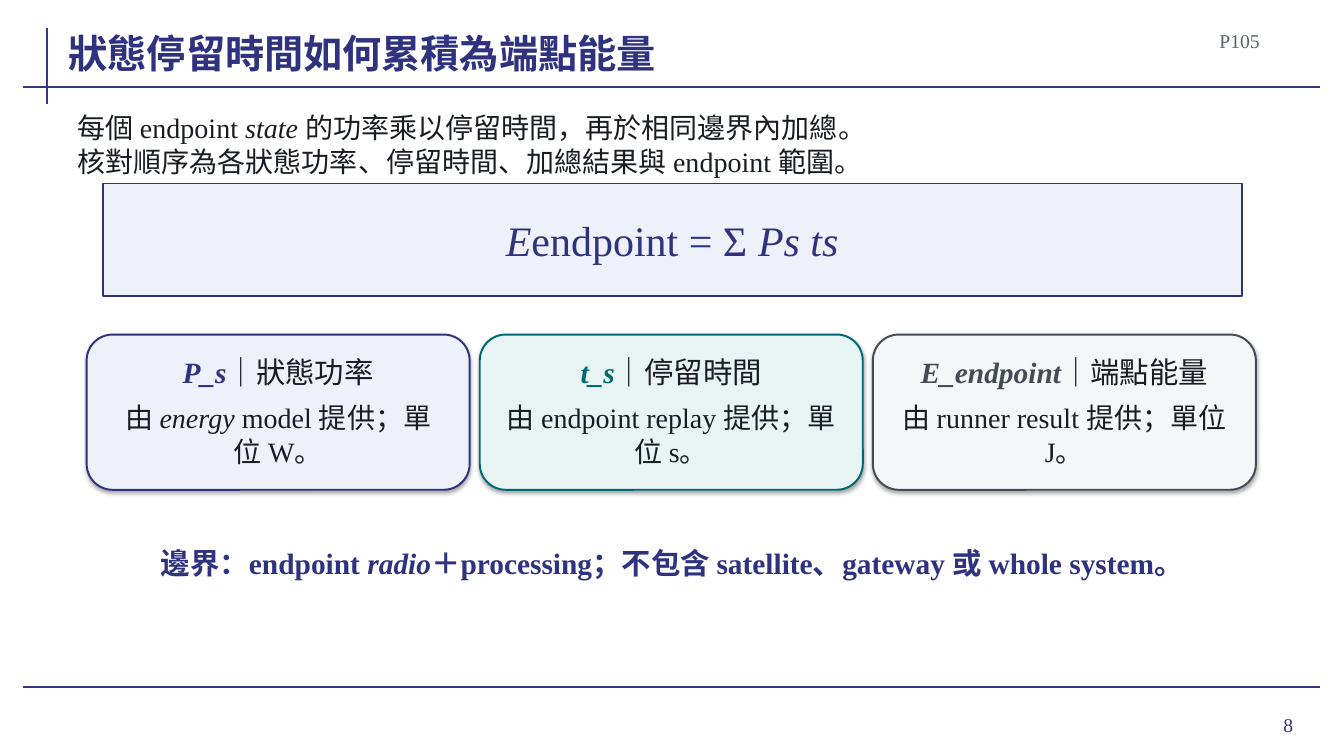
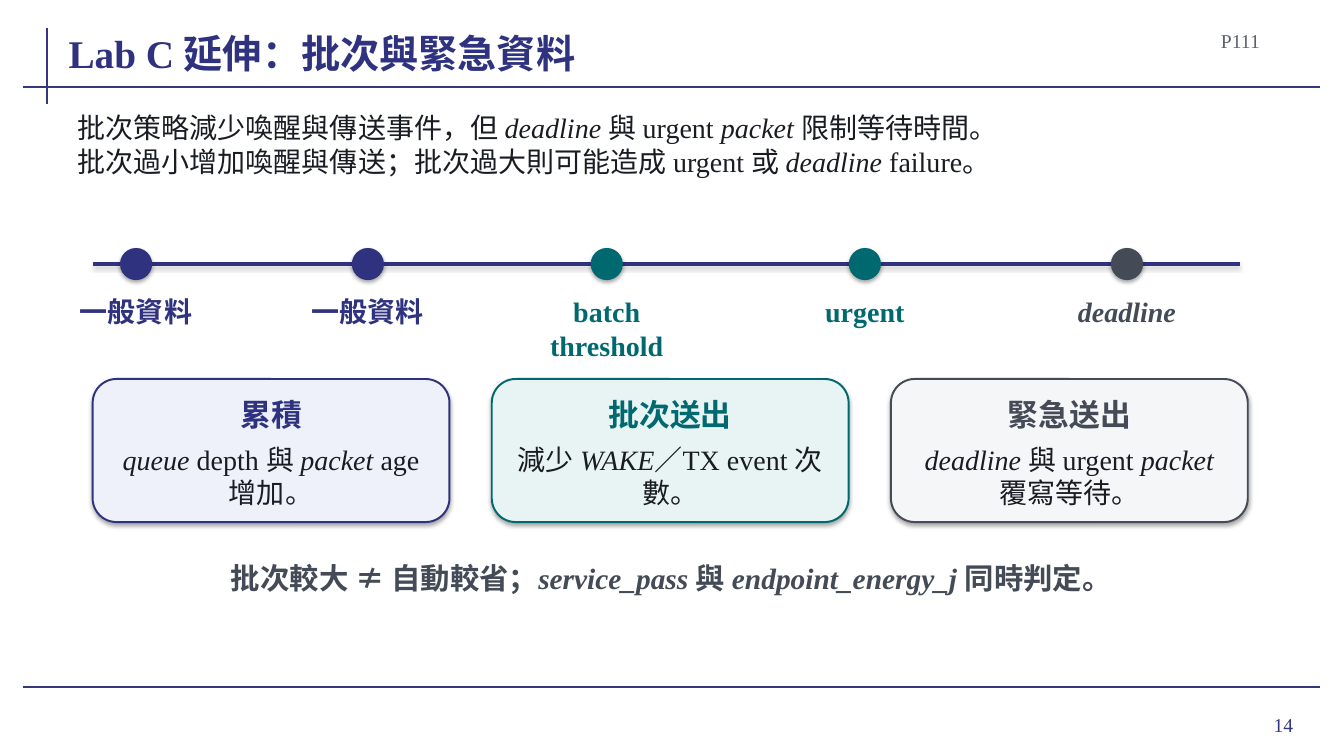
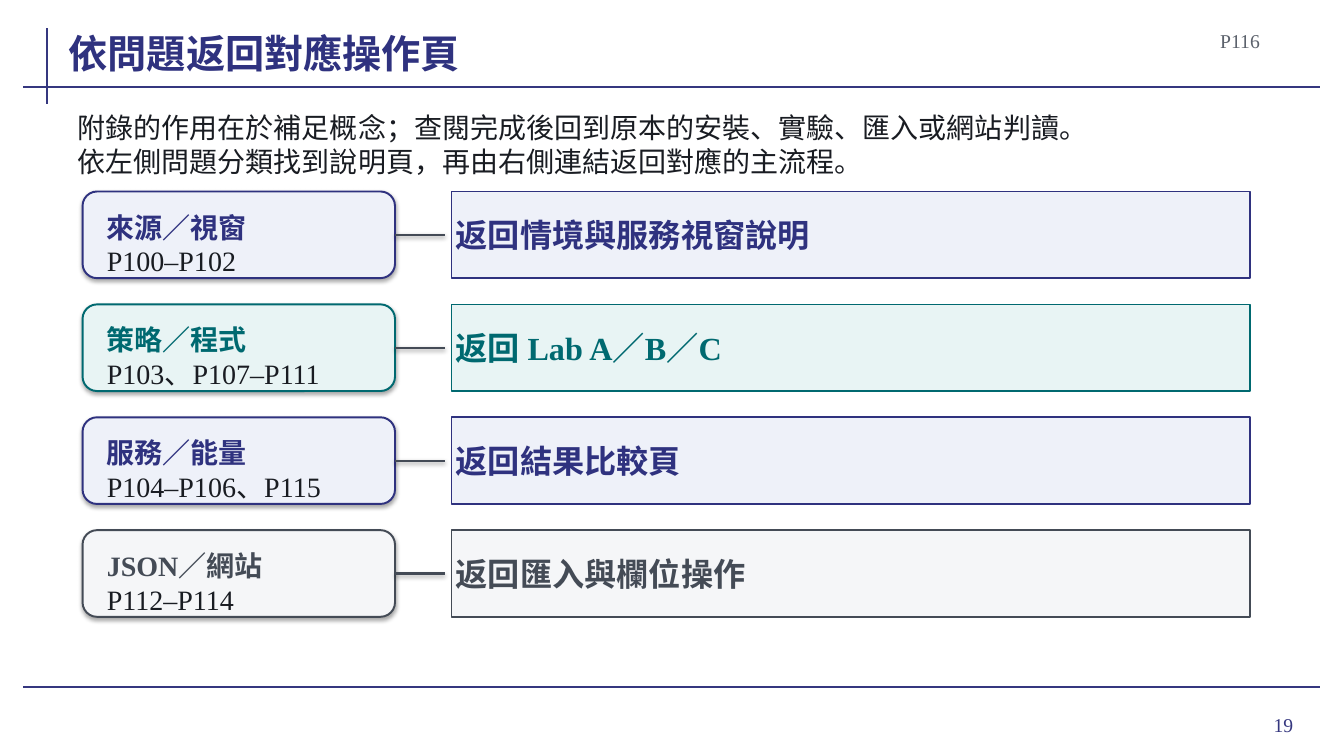
from lxml import etree
from pptx import Presentation
from pptx.dml.color import RGBColor
from pptx.enum.shapes import MSO_CONNECTOR, MSO_SHAPE
from pptx.enum.text import MSO_ANCHOR, MSO_AUTO_SIZE, PP_ALIGN
from pptx.oxml.ns import qn
from pptx.util import Pt

LEFT, MID, RIGHT = PP_ALIGN.LEFT, PP_ALIGN.CENTER, PP_ALIGN.RIGHT
TOP, CORE, BASE = MSO_ANCHOR.TOP, MSO_ANCHOR.MIDDLE, MSO_ANCHOR.BOTTOM
RECT, ROUND, OVAL = MSO_SHAPE.RECTANGLE, MSO_SHAPE.ROUNDED_RECTANGLE, MSO_SHAPE.OVAL
FIT, STRAIGHT = MSO_AUTO_SIZE.SHAPE_TO_FIT_TEXT, MSO_CONNECTOR.STRAIGHT

FONT = "Times New Roman"
COLORS = {
    "rule": "35377F", "ink": "191C22", "code": "5C626C", "black": "000000",
    "navy": "2F327F", "teal": "006970", "gray": "444B56",
}
TINTS = {"navy": "EEF1F9", "teal": "E8F4F4", "gray": "F5F6F8"}

# Content: asterisks enclose italic text
ENERGY = {
    "title": "狀態停留時間如何累積為端點能量", "code": "P105", "page": "8",
    "lead": "每個 endpoint *state* 的功率乘以停留時間，再於相同邊界內加總。\n"
            "核對順序為各狀態功率、停留時間、加總結果與 endpoint 範圍。",
    "sum": "*E*endpoint = Σ *Ps ts*",
    "cards": [
        ("navy", "*P_s*｜狀態功率", "由 *energy *model 提供；單位 W。"),
        ("teal", "*t_s*｜停留時間", "由 endpoint replay 提供；單位 s。"),
        ("gray", "*E_endpoint*｜端點能量", "由 runner result 提供；單位 J。"),
    ],
    "note": "邊界：endpoint *radio*＋processing；不包含 satellite、gateway 或 whole system。",
}
BATCH = {
    "title": "Lab C 延伸：批次與緊急資料", "code": "P111", "page": "14",
    "lead": "批次策略減少喚醒與傳送事件，但 *deadline* 與 urgent *packet* 限制等待時間。\n"
            "批次過小增加喚醒與傳送；批次過大則可能造成 urgent 或 *deadline *failure。",
    "steps": [
        (97.2, "navy", "一般資料"), (262.8, "navy", "一般資料"),
        (433.4, "teal", "batch threshold"), (617.8, "teal", "urgent"),
        (805, "gray", "*deadline*"),
    ],
    "cards": [
        ("navy", "累積", "*queue *depth 與 *packet *age 增加。"),
        ("teal", "批次送出", "減少 *WAKE*／TX event 次數。"),
        ("gray", "緊急送出", "*deadline* 與 urgent *packet* 覆寫等待。"),
    ],
    "note": "批次較大 ≠ 自動較省；*service_pass* 與 *endpoint_energy_j* 同時判定。",
}
GUIDE = {
    "title": "依問題返回對應操作頁", "code": "P116", "page": "19",
    "lead": "附錄的作用在於補足概念；查閱完成後回到原本的安裝、實驗、匯入或網站判讀。\n"
            "依左側問題分類找到說明頁，再由右側連結返回對應的主流程。",
    "rows": [
        ("navy", "來源／視窗", "P100–P102", "返回情境與服務視窗說明"),
        ("teal", "策略／程式", "P103、P107–P111", "返回 Lab A／B／C"),
        ("navy", "服務／能量", "P104–P106、P115", "返回結果比較頁"),
        ("gray", "JSON／網站", "P112–P114", "返回匯入與欄位操作"),
    ],
}


def rgb(name):
    return RGBColor.from_string(COLORS.get(name, name))


def shade(shape, alpha, dist):
    """Put a soft shadow straight below a shape or line."""
    props = shape._element.spPr
    fx = props.find(qn("a:effectLst"))
    if fx is None:
        fx = etree.SubElement(props, qn("a:effectLst"))
    drop = etree.SubElement(fx, qn("a:outerShdw"), blurRad=str(Pt(3.1)),
                            dist=str(Pt(dist)), dir="5400000", rotWithShape="0")
    tint = etree.SubElement(drop, qn("a:srgbClr"), val=COLORS["black"])
    etree.SubElement(tint, qn("a:alpha"), val=str(alpha * 1000))


def write(shape, text, size, color="ink", bold=False, align=LEFT, anchor=CORE,
          pad=2.9, fit=True, mark=None):
    """Fill a shape with text; mark is the colour of bold italic parts."""
    frame = shape.text_frame
    frame.word_wrap = True
    if fit:
        frame.auto_size = FIT
    frame.vertical_anchor = anchor
    frame.margin_left = frame.margin_right = Pt(pad)
    frame.margin_top = frame.margin_bottom = Pt(pad)
    para = frame.paragraphs[0]
    para.alignment = align
    font = para.font
    font.name, font.size, font.bold = FONT, Pt(size), bold
    font.color.rgb = rgb(color)
    for i, part in enumerate(text.split("*")):
        for j, line in enumerate(part.split("\n")):
            if j:
                para.add_line_break()
            if not line:
                continue
            run = para.add_run()
            run.text = line
            if i % 2:
                run.font.italic = True
                if mark:
                    run.font.bold = True
                    run.font.color.rgb = rgb(mark)


def label(slide, box, text, size, **style):
    write(slide.shapes.add_textbox(*map(Pt, box)), text, size, **style)


def rule(slide, x1, y1, x2, y2, color="rule", width=1.5, soft=False):
    line = slide.shapes.add_connector(STRAIGHT, *map(Pt, (x1, y1, x2, y2)))
    line.line.color.rgb = rgb(color)
    line.line.width = Pt(width)
    if soft:
        shade(line, 38, 1.6)
    else:
        etree.SubElement(line._element.spPr, qn("a:effectLst"))


def block(slide, kind, box, fill, edge=None, width=1.2, soft=False):
    shape = slide.shapes.add_shape(kind, *map(Pt, box))
    shape.shadow.inherit = False
    shape.fill.solid()
    shape.fill.fore_color.rgb = rgb(fill)
    if edge:
        shape.line.color.rgb = rgb(edge)
        shape.line.width = Pt(width)
    else:
        shape.line.fill.background()
    if soft:
        shade(shape, 35, 1.8)
    return shape


def card(slide, box, tone, head, body, top, low, align=MID, **style):
    """Rounded card; top and low are (inset, offset, height) of its texts."""
    x, y, w, _ = box
    block(slide, ROUND, box, TINTS[tone], tone, 1.4, soft=True)
    style = {"color": tone, "bold": True, **style}
    for text, (dx, dy, h), look in ((head, top, style), (body, low, {"size": 20})):
        label(slide, (x + dx, y + dy, w - 2 * dx, h), text, align=align, **look)


def start(deck, data):
    """New slide with rules, title, page code, number and lead text."""
    slide = deck.slides.add_slide(deck.slide_layouts[6])
    rule(slide, 33.8, 20.2, 33.8, 74.2)
    for y in (61.9, 491):
        rule(slide, 16.6, y, 943.2, y)
    label(slide, (861.1, 499, 69.8, 37.4), data["page"], 14, color="rule",
          align=RIGHT, pad=7.2, fit=False)
    label(slide, (49, 13, 784.8, 41.8), data["title"], 28, color="navy",
          bold=True, anchor=BASE, pad=0, fit=False)
    label(slide, (843.8, 19.4, 59, 18.7), data["code"], 14, color="code", align=RIGHT)
    label(slide, (54.7, 80.6, 848.2, 44.6), data["lead"], 20, pad=0.7)
    return slide


def energy(deck, data):
    slide = start(deck, data)
    box = block(slide, RECT, (73.4, 131, 813.6, 80.6), TINTS["navy"], "navy")
    write(box, data["sum"], 30, color="navy", align=MID)
    for i, (tone, head, body) in enumerate(data["cards"]):
        card(slide, (61.9 + 280.8 * i, 239, 273.6, 110.9), tone, head, body,
             (11.5, 11.5, 30.2), (15.8, 49, 44.6),
             size=21, color="ink", bold=False, mark=tone)
    label(slide, (73.4, 375.8, 813.6, 51.8), data["note"], 21, color="navy",
          bold=True, align=MID)


def batch(deck, data):
    slide = start(deck, data)
    axis, dot, wide = 188.6, 23, 100.8
    rule(slide, 66.2, axis, 885.6, axis, "navy", 2.2, soft=True)
    for x, tone, name in data["steps"]:
        block(slide, OVAL, (x - dot / 2, axis - dot / 2, dot, dot), tone, soft=True)
        label(slide, (x - wide / 2, 207.4, wide, 37.4), name, 20, color=tone,
              bold=True, align=MID, anchor=TOP)
    for i, (tone, head, body) in enumerate(data["cards"]):
        card(slide, (66.2 + 285.1 * i, 270.7, 254.9, 102.2), tone, head, body,
             (14.4, 11.5, 27.4), (14.4, 46.1, 46.1), size=22)
    label(slide, (89.3, 397.4, 780.5, 30.2), data["note"], 21, color="gray",
          bold=True, align=MID, anchor=TOP)


def guide(deck, data):
    slide = start(deck, data)
    high = 61.9
    for i, (tone, head, pages, goal) in enumerate(data["rows"]):
        y = 136.8 + 80.64 * i
        card(slide, (59, y, 223.2, high), tone, head, pages,
             (14.4, 11.5, 27.4), (14.4, 46.1, 5.8), align=LEFT, size=20)
        rule(slide, 282.2, y + high / 2, 318.2, y + high / 2, "gray", soft=True)
        box = block(slide, RECT, (322.6, y, 570.2, high), TINTS[tone], tone)
        write(box, goal, 23, color=tone, bold=True)


def main():
    deck = Presentation()
    deck.slide_width, deck.slide_height = Pt(960), Pt(540)
    energy(deck, ENERGY)
    batch(deck, BATCH)
    guide(deck, GUIDE)
    deck.save("out.pptx")


if __name__ == "__main__":
    main()
